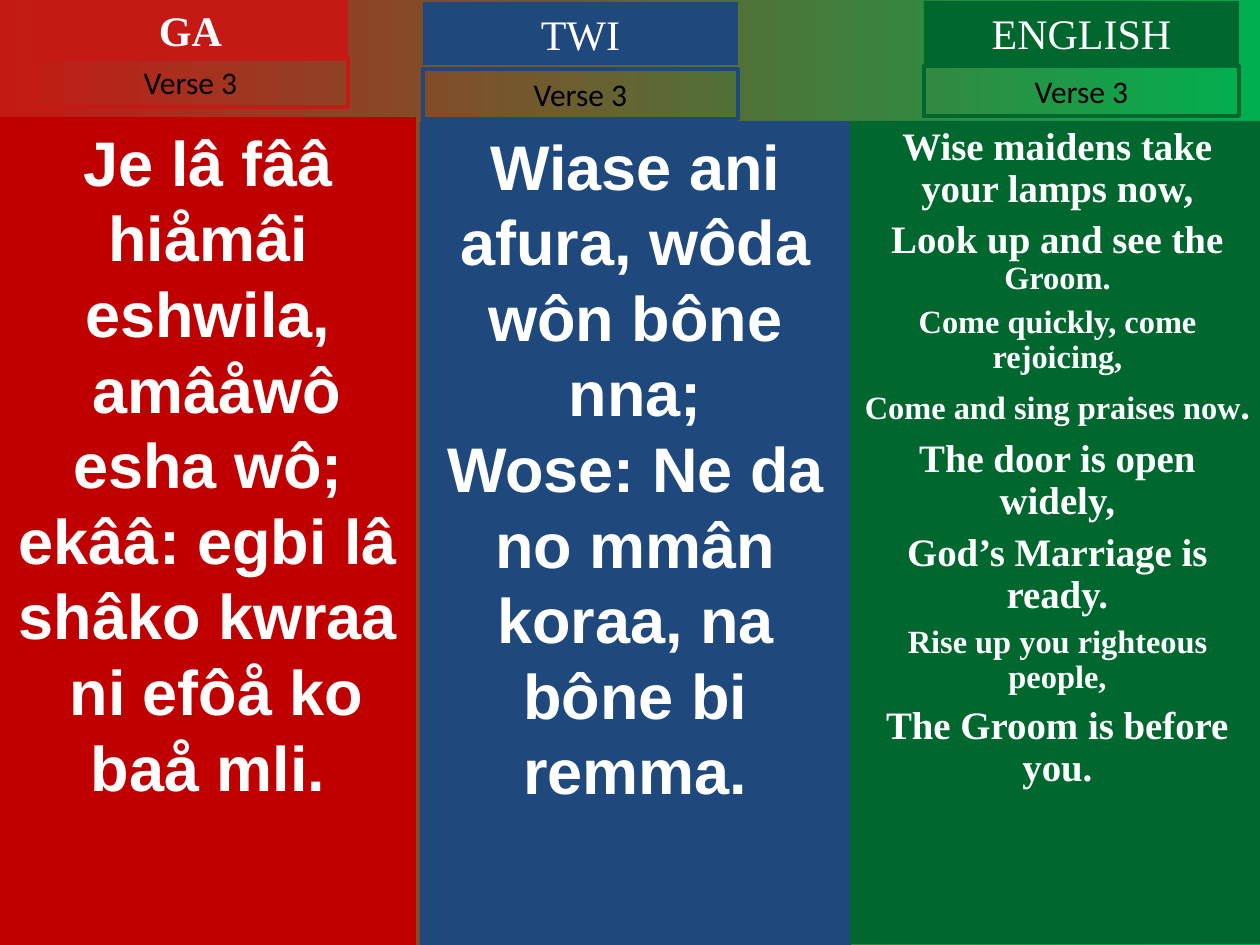
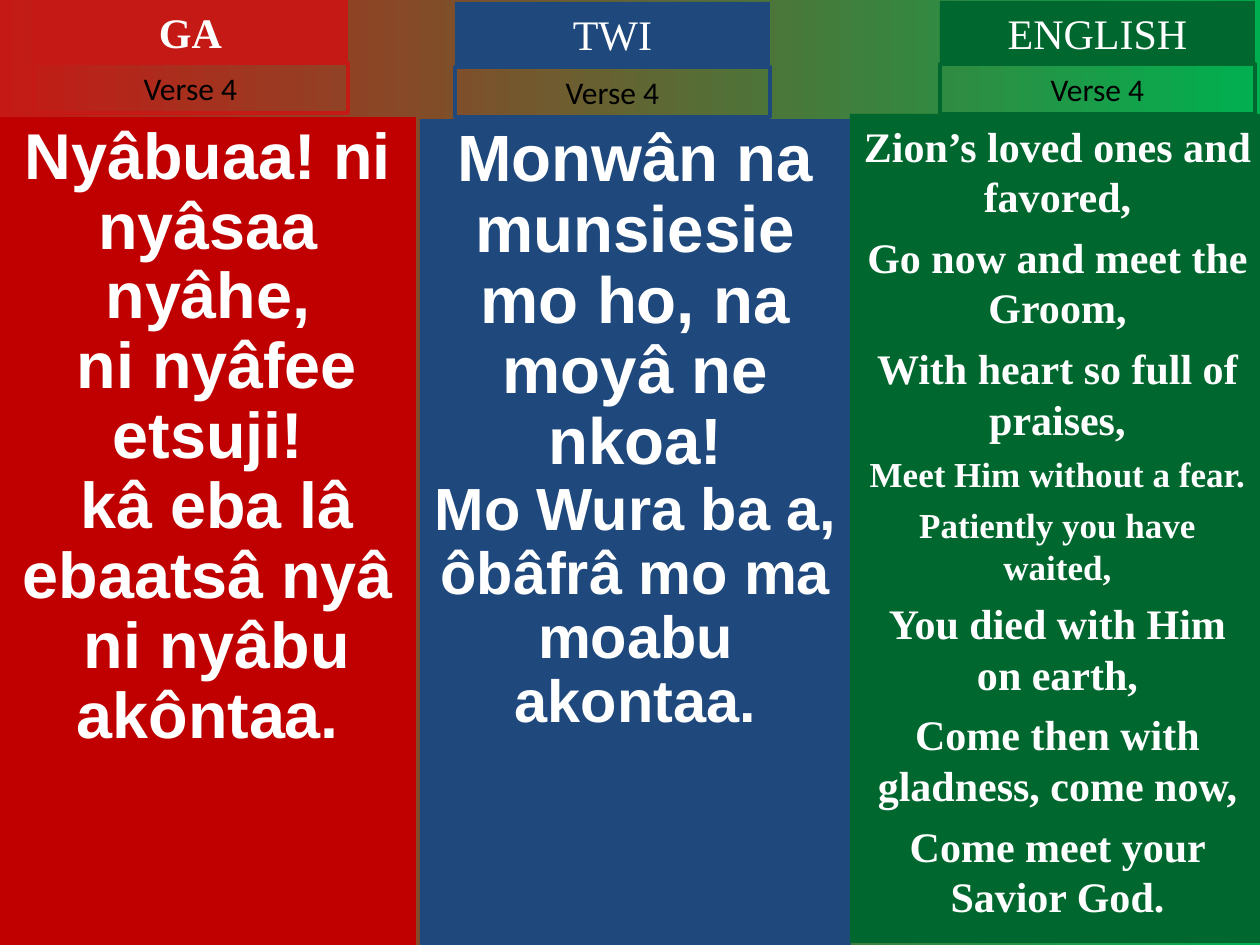
from collections import namedtuple
from pptx import Presentation
from pptx.dml.color import RGBColor as Rgb
from pptx.enum.shapes import MSO_SHAPE as Shape
from pptx.enum.text import MSO_ANCHOR as Anchor, PP_ALIGN as Align
from pptx.util import Pt

PX = 914400 / 126
RED = Rgb(0xC0, 0x00, 0x00)
SCARLET = Rgb(0xC5, 0x19, 0x15)
BLUE = Rgb(0x1F, 0x49, 0x7D)
GREEN = Rgb(0x00, 0x68, 0x2F)
LIME = Rgb(0x00, 0xB0, 0x50)
WHITE = Rgb(0xFF, 0xFF, 0xFF)
BLACK = Rgb(0x00, 0x00, 0x00)

SERIF, SANS, PLAIN = "Times New Roman", "Arial", "Calibri"
TAB_W, HEAD_H, VERSE_H = 315, 63, 50

Lang = namedtuple("Lang", "name panel tint bold font gaps")
GA = Lang("GA", RED, SCARLET, True, SANS, False)
TWI = Lang("TWI", BLUE, BLUE, False, SANS, False)
ENGLISH = Lang("ENGLISH", GREEN, GREEN, False, SERIF, True)

Col = namedtuple("Col", "lang box tab drop pitch lines")


def emu(*sizes):
    return [round(size * PX) for size in sizes]


def block(slide, box, fill=None, line=None):
    shape = slide.shapes.add_shape(Shape.RECTANGLE, *emu(*box))
    shape.shadow.inherit = False
    if fill is None:
        shape.fill.background()
    else:
        shape.fill.solid()
        shape.fill.fore_color.rgb = fill
    if line is None:
        shape.line.fill.background()
    else:
        shape.line.color.rgb = line
        shape.line.width = Pt(2.25)
    frame = shape.text_frame
    frame.word_wrap = True
    frame.vertical_anchor = Anchor.TOP
    return frame


def write(frame, lines, font, color, bold=False, pitch=1.0, gaps=False):
    for i, runs in enumerate(lines):
        para = frame.add_paragraph() if i else frame.paragraphs[0]
        para.alignment = Align.CENTER
        para.line_spacing = pitch
        if gaps and i:
            para.space_before = Pt(6 if runs[-1][1] > 20 else 5)
        for text, size in runs:
            run = para.add_run()
            run.text = text
            run.font.name = font
            run.font.size = Pt(size)
            run.font.bold = bold
            run.font.color.rgb = color


def tabs(slide, lang, left, top, drop, verse):
    head = block(slide, (left, top, TAB_W, HEAD_H), fill=lang.tint)
    write(head, [[(lang.name, 24)]], SERIF, WHITE, lang.bold)
    label = block(slide, (left, top + drop, TAB_W, VERSE_H), line=lang.tint)
    write(label, [[(verse, 18)]], PLAIN, BLACK)


def column(slide, col, verse):
    lang = col.lang
    body = block(slide, col.box, fill=lang.panel)
    write(body, col.lines, lang.font, WHITE, True, col.pitch, lang.gaps)
    tabs(slide, lang, *col.tab, col.drop, verse)


def page(deck, verse, cols):
    slide = deck.slides.add_slide(deck.slide_layouts[6])
    fill = slide.background.fill
    fill.gradient()
    fill.gradient_angle = 0
    for stop, color in zip(fill.gradient_stops, (SCARLET, LIME)):
        stop.color.rgb = color
    for col in cols:
        column(slide, col, verse)


def even(size, *texts):
    return [[(text, size)] for text in texts]


THIRD = [
    Col(GA, (0, 117, 416, 828), (33, -2), 59, 1.0, even(
        36,
        "Je lâ fââ hiåmâi eshwila,",
        " amâåwô esha wô; ekââ: egbi lâ shâko kwraa",
        " ni efôå ko baå mli.")),
    Col(TWI, (420, 121, 431, 824), (423, 2), 67, 1.0, even(
        36,
        "Wiase ani afura, wôda wôn bône nna;",
        "Wose: Ne da no mmân koraa, na bône bi remma.")),
    Col(ENGLISH, (850, 121, 415, 823), (924, 1), 65, 0.9, [
        [("Wise maidens take your lamps now,", 22.2)],
        [("Look up and see the ", 22.2), ("Groom.", 18.5)],
        [("Come quickly, come rejoicing,", 18.5)],
        [("Come and sing praises now", 18.5), (".", 22.2)],
        [("The door is open widely,", 22.2)],
        [("God’s Marriage is ready.", 22.2)],
        [("Rise up you righteous people,", 18.5)],
        [("The Groom is before you.", 22.2)]]),
]

FOURTH = [
    Col(GA, (0, 117, 416, 828), (33, 0), 63, 0.9, even(
        37,
        "Nyâbuaa! ni nyâsaa nyâhe,",
        " ni nyâfee etsuji!",
        " kâ eba lâ ebaatsâ nyâ",
        " ni nyâbu akôntaa.")),
    Col(TWI, (420, 119, 431, 826), (455, 2), 65, 0.9, [
        [("Monwân na munsiesie mo ho, na moyâ ne nkoa!", 37.4)],
        [("Mo Wura ba a, ôbâfrâ mo ma moabu akontaa.", 34)]]),
    Col(ENGLISH, (850, 114, 415, 829), (940, 1), 63, 1.0, [
        *even(24,
              "Zion’s loved ones and favored,",
              "Go now and meet the Groom,",
              "With heart so full of praises,"),
        *even(20,
              "Meet Him without a fear.",
              "Patiently you have waited,"),
        *even(24,
              "You died with Him on earth,",
              "Come then with gladness, come now,",
              "Come meet your Savior God.")]),
]


def main():
    deck = Presentation()
    deck.slide_width, deck.slide_height = emu(1260, 945)
    page(deck, "Verse 3", THIRD)
    page(deck, "Verse 4", FOURTH)
    deck.save("out.pptx")


if __name__ == "__main__":
    main()
